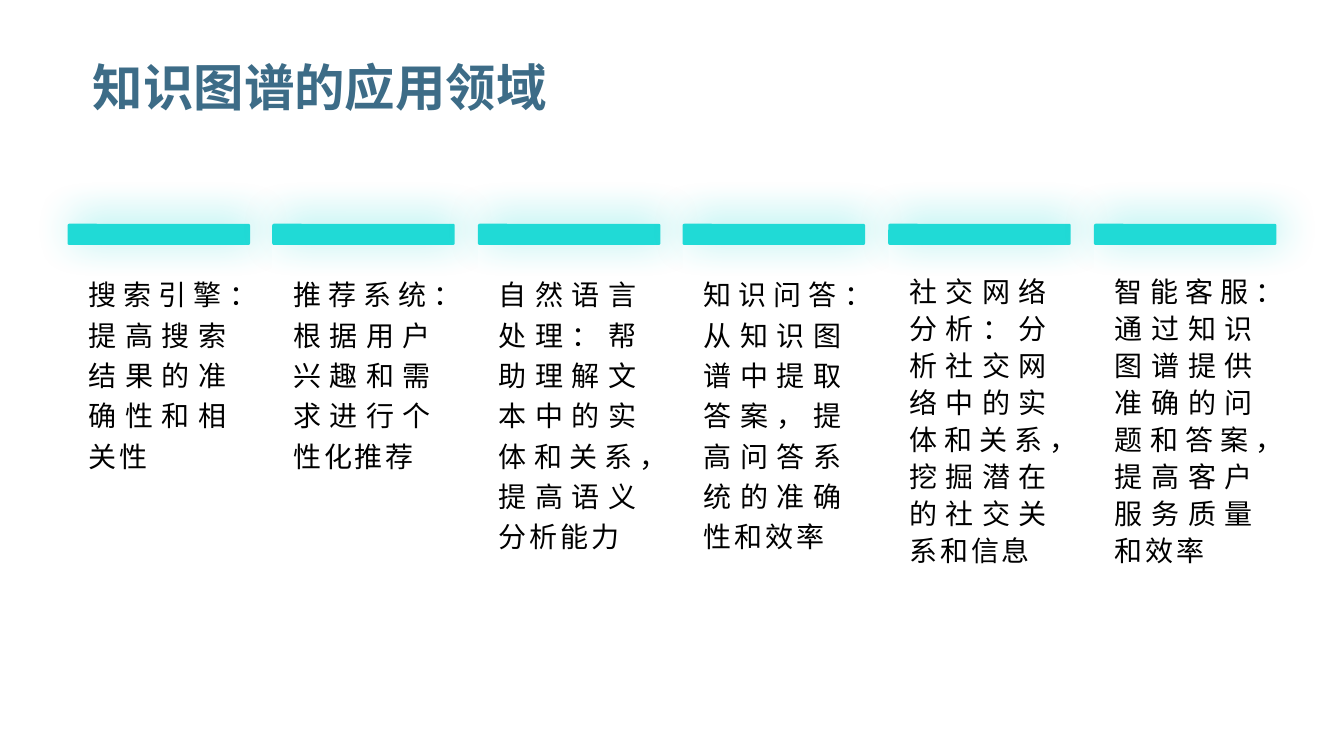
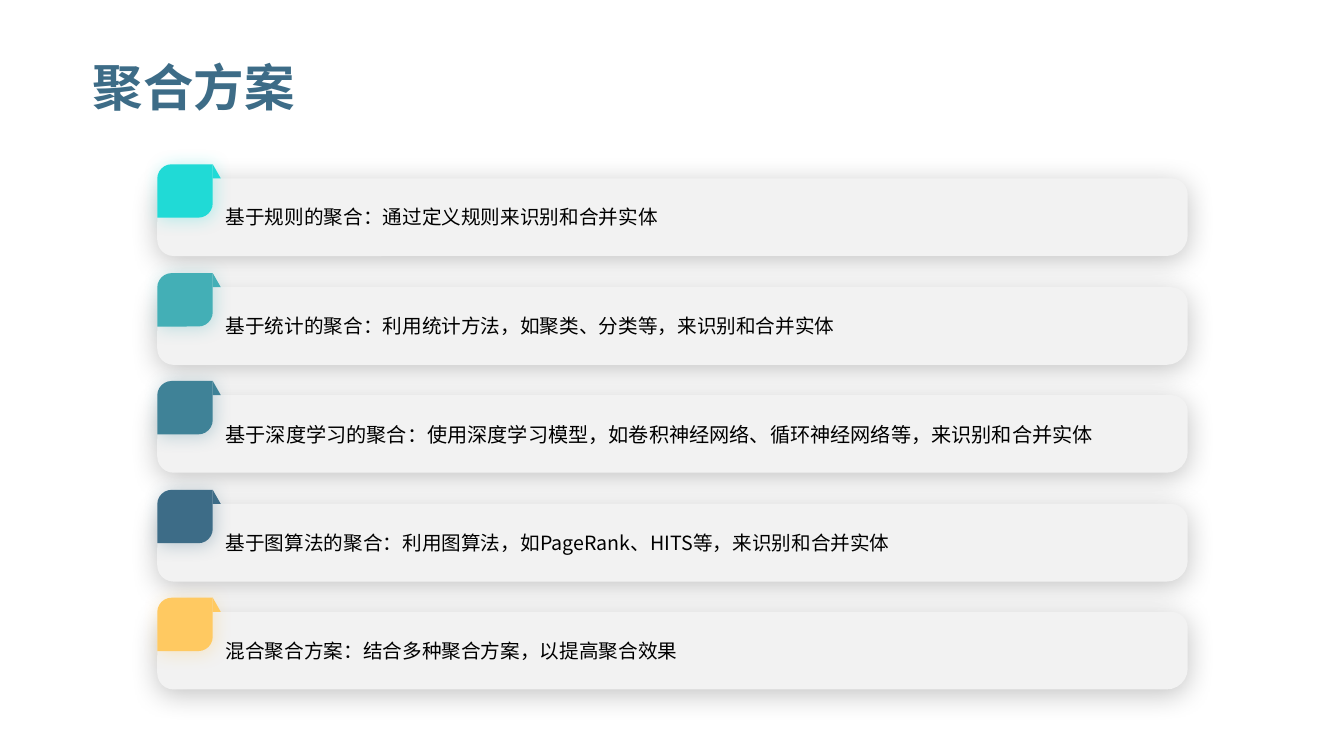
import pptx
import pptx.dml.color
import pptx.enum.shapes
import pptx.enum.text
import pptx.oxml.ns
import pptx.util
from lxml import etree

SHAPE = pptx.enum.shapes.MSO_SHAPE
ALIGN = pptx.enum.text.PP_ALIGN
ANCHOR = pptx.enum.text.MSO_ANCHOR
qn = pptx.oxml.ns.qn

NAVY, CYAN, BLACK, WHITE, GREY = "3D6C87", "20DAD6", "000000", "FFFFFF", "F2F2F2"
CJK = "Noto Sans CJK SC"


def px(n):
    return pptx.util.Emu(n * 9144)


def color(value):
    return pptx.dml.color.RGBColor.from_string(value)


def apply(obj, values):
    for name, value in values.items():
        setattr(obj, name, value)


class Deck:
    def __init__(self):
        self.prs = pptx.Presentation()
        apply(self.prs, {"slide_width": px(1333), "slide_height": px(750)})
        self.s = None

    def slide(self, title):
        self.s = self.prs.slides.add_slide(self.prs.slide_layouts[5])
        sp = self.s.shapes.title
        apply(sp, dict(zip(("left", "top", "width", "height"),
                           map(px, (92, 39, 1150, 94)))))
        self.format_text(sp.text_frame, title, 36, NAVY, font="Arial", bold=True,
                         margins=(0, 0, 0, 0), anchor=ANCHOR.MIDDLE)

    def format_text(self, tf, content, size, fill=BLACK, font=CJK, bold=False, spacing=0,
                    line=1.0, align=ALIGN.LEFT, margins=(10, 5, 10, 5), anchor=ANCHOR.TOP):
        apply(tf, {"word_wrap": True, "vertical_anchor": anchor})
        apply(tf, dict(zip(("margin_left", "margin_top", "margin_right", "margin_bottom"),
                           map(px, margins))))
        p = tf.paragraphs[0]
        apply(p, {"alignment": align, "line_spacing": line})
        r = p.add_run()
        r.text = content
        apply(r.font, {"size": pptx.util.Pt(size), "bold": bold, "name": font})
        r.font.color.rgb = color(fill)
        rPr = r._r.get_or_add_rPr()
        rPr.set("lang", "zh-CN")
        if spacing:
            rPr.set("spc", str(spacing * 100))
        ea = etree.Element(qn("a:ea"), typeface=CJK)
        rPr.find(qn("a:latin")).addnext(ea)

    def text(self, box, content, size, **style):
        sp = self.s.shapes.add_textbox(*map(px, box))
        self.format_text(sp.text_frame, content, size, **style)

    def shape(self, kind, box, fill, adjustments=(), shadow=None):
        sp = self.s.shapes.add_shape(kind, *map(px, box))
        for i, value in enumerate(adjustments):
            sp.adjustments[i] = value
        sp.fill.solid()
        sp.fill.fore_color.rgb = color(fill)
        sp.line.fill.background()
        sp.shadow.inherit = False
        if shadow:
            self.cast(sp, *shadow)

    def cast(self, sp, fill, alpha, blur, distance, angle):
        effects = sp._element.spPr.find(qn("a:effectLst"))
        outer = etree.SubElement(effects, qn("a:outerShdw"), {
            "blurRad": str(pptx.util.Pt(blur)), "dist": str(pptx.util.Pt(distance)),
            "dir": str(angle * 60000), "algn": "ctr", "rotWithShape": "0"})
        clr = etree.SubElement(outer, qn("a:srgbClr"), val=fill)
        etree.SubElement(clr, qn("a:alpha"), val=str(alpha * 1000))

    def column(self, x, content, line):
        self.shape(SHAPE.ROUNDED_RECTANGLE, (x, 222, 182, 402), WHITE, (0,),
                   (WHITE, 40, 22, 9, 106))
        self.shape(SHAPE.ROUNDED_RECTANGLE, (x, 222, 181, 21), CYAN, (0.08,),
                   (CYAN, 45, 30, 5, 315))
        self.text((x + 11, 264, 159, 356), content, 20, spacing=2, line=line,
                  align=ALIGN.JUSTIFY)

    def row(self, y, content, fill, size):
        self.shape(SHAPE.ROUND_2_DIAG_RECTANGLE, (156, y + 14, 1022, 77), GREY,
                   (0.27, 0.21), (BLACK, 23, 20, 3, 107))
        self.shape(SHAPE.ROUND_2_DIAG_RECTANGLE, (156, y, 55, 53), fill,
                   (0.27, 0), (fill, 31, 13, 2, 45))
        self.shape(SHAPE.RIGHT_TRIANGLE, (211, y, 8, 14), fill)
        self.text((214, y + 15, 936, 75), content, size, line=1.5,
                  margins=(10, 0, 10, 12), anchor=ANCHOR.MIDDLE)


FIELDS = [
    ("搜索引擎：提高搜索结果的准确性和相关性", 1.2),
    ("推荐系统：根据用户兴趣和需求进行个性化推荐", 1.2),
    ("自然语言处理：帮助理解文本中的实体和关系，提高语义分析能力", 1.2),
    ("知识问答：从知识图谱中提取答案，提高问答系统的准确性和效率", 1.2),
    ("社交网络分析：分析社交网络中的实体和关系，挖掘潜在的社交关系和信息", 1.1),
    ("智能客服：通过知识图谱提供准确的问题和答案，提高客户服务质量和效率", 1.1),
]

SCHEMES = [
    ("基于规则的聚合：通过定义规则来识别和合并实体", CYAN, 14),
    ("基于统计的聚合：利用统计方法，如聚类、分类等，来识别和合并实体", "43AFB6", 14),
    ("基于深度学习的聚合：使用深度学习模型，如卷积神经网络、循环神经网络等，来识别和合并实体",
     "3F8297", 14.4),
    ("基于图算法的聚合：利用图算法，如PageRank、HITS等，来识别和合并实体", NAVY, 14),
    ("混合聚合方案：结合多种聚合方案，以提高聚合效果", "FFC961", 14),
]


def main():
    deck = Deck()
    deck.slide("知识图谱的应用领域")
    for i, (content, line) in enumerate(FIELDS):
        deck.column(67 + 1018 * i // 5, content, line)
    deck.slide("聚合方案")
    for i, (content, fill, size) in enumerate(SCHEMES):
        deck.row(163 + (215 * i + 1) // 2, content, fill, size)
    deck.prs.save("out.pptx")


if __name__ == "__main__":
    main()
